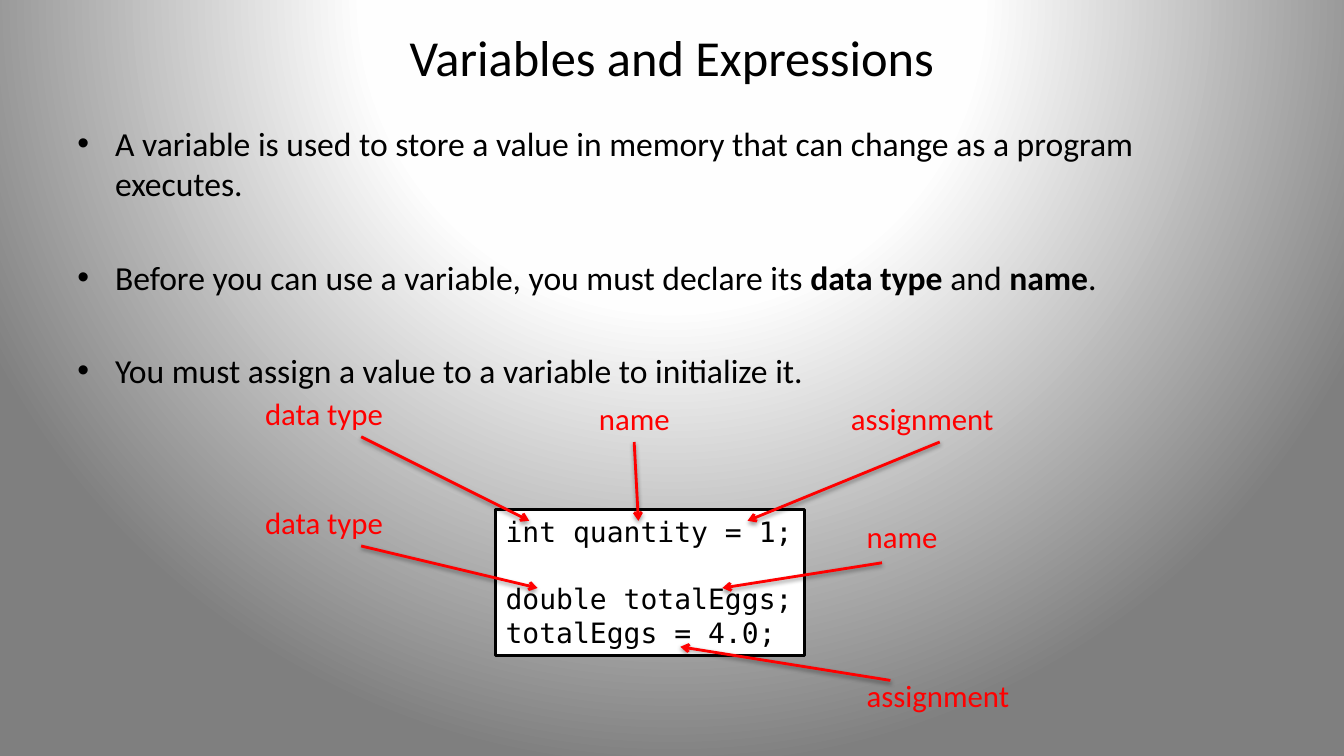
from dataclasses import dataclass

from pptx import Presentation
from pptx.dml.color import RGBColor
from pptx.enum.shapes import MSO_CONNECTOR as Connector, MSO_SHAPE as Shape
from pptx.enum.text import MSO_ANCHOR as Anchor, MSO_AUTO_SIZE as AutoSize, PP_ALIGN as Align
from pptx.oxml import parse_xml
from pptx.oxml.ns import nsdecls, qn
from pptx.util import Pt

PX = 9525  # 96 px to the inch


@dataclass(frozen=True)
class Theme:
    ink: str = "000000"
    paper: str = "FFFFFF"
    callout: str = "FF0000"
    glow: tuple = ((0, "FFFFFF"), (40, "FEFEFE"), (100, "7F7F7F"))
    text_font: str = "Calibri"
    code_font: str = "DejaVu Sans Mono"
    title_size: int = 36
    body_size: int = 24
    label_size: int = 22
    code_size: int = 20
    line_width: int = 2


THEME = Theme()

BULLETS = [
    [("A variable is used to store a value in memory that can change as a program executes.", False)],
    [("Before you can use a variable, you must declare its ", False), ("data type", True),
     (" and ", False), ("name", True), (".", False)],
    [("You must assign a value to a variable to initialize it.", False)],
]
# Code lines with the space before each, in points
CODE = [("int quantity = 1;", 0), ("double totalEggs;", 24), ("totalEggs = 4.0;", 0)]

LABEL_WIDTHS = {"data type": 133, "name": 87, "assignment": 156}
LABEL_HEIGHT = 45
# Word, then label corner, arrow start and arrow tip, all from the diagram's corner
CALLOUTS = [
    ("data type", (0, 0), (101, 45), (261, 125)),
    ("name", (318, 5), (361, 50), (365, 125)),
    ("assignment", (558, 5), (652, 50), (469, 125)),
    ("data type", (0, 104), (101, 149), (269, 189)),
    ("name", (573, 117), (597, 165), (445, 189)),
    ("assignment", (573, 269), (605, 277), (405, 245)),
]


def px(*lengths):
    return [length * PX for length in lengths]


def color(value):
    return RGBColor.from_string(value)


def add_text(para, text, size, font=THEME.text_font, ink=THEME.ink, bold=False):
    span = para.add_run()
    span.text = text
    span.font.name = font
    span.font.size = Pt(size)
    span.font.color.rgb = color(ink)
    span.font.bold = bold


def place(shape, box):
    shape.left, shape.top, shape.width, shape.height = px(*box)


def paint_background(page):
    page.background.fill.gradient()
    flat = page.element.find(".//" + qn("a:gradFill"))
    stops = "".join(f'<a:gs pos="{at * 1000}"><a:srgbClr val="{value}"/></a:gs>'
                    for at, value in THEME.glow)
    flat.getparent().replace(flat, parse_xml(
        f'<a:gradFill {nsdecls("a")} rotWithShape="1"><a:gsLst>{stops}</a:gsLst>'
        '<a:path path="circle"><a:fillToRect l="50000" t="-80000" r="50000" b="180000"/></a:path>'
        '</a:gradFill>'))


def fill_title(page, box):
    title = page.shapes.title
    place(title, box)
    title.text_frame.auto_size = AutoSize.NONE
    title.text_frame.vertical_anchor = Anchor.MIDDLE
    para = title.text_frame.paragraphs[0]
    para.alignment = Align.CENTER
    add_text(para, "Variables and Expressions", THEME.title_size)


def fill_body(page, box):
    body = page.placeholders[1]
    place(body, box)
    frame = body.text_frame
    frame.auto_size = AutoSize.NONE
    for number, spans in enumerate(BULLETS):
        para = frame.add_paragraph() if number else frame.paragraphs[0]
        para.space_before = Pt(38 if number else 0)
        for text, bold in spans:
            add_text(para, text, THEME.body_size, bold=bold)


def add_code(page, box):
    panel = page.shapes.add_shape(Shape.RECTANGLE, *px(*box))
    panel.shadow.inherit = False
    panel.fill.solid()
    panel.fill.fore_color.rgb = color(THEME.paper)
    panel.line.color.rgb = color(THEME.ink)
    panel.line.width = Pt(THEME.line_width)
    frame = panel.text_frame
    frame.word_wrap = False
    frame.vertical_anchor = Anchor.TOP
    for number, (text, gap) in enumerate(CODE):
        para = frame.add_paragraph() if number else frame.paragraphs[0]
        para.alignment = Align.LEFT
        para.space_before = Pt(gap)
        add_text(para, text, THEME.code_size, font=THEME.code_font)


def add_label(page, text, left, top):
    label = page.shapes.add_textbox(*px(left, top, LABEL_WIDTHS[text], LABEL_HEIGHT))
    label.text_frame.word_wrap = False
    add_text(label.text_frame.paragraphs[0], text, THEME.label_size, ink=THEME.callout)


def add_arrow(page, start, tip):
    arrow = page.shapes.add_connector(Connector.STRAIGHT, *px(*start, *tip))
    arrow.line.color.rgb = color(THEME.callout)
    arrow.line.width = Pt(THEME.line_width)
    arrow.line._get_or_add_ln().append(parse_xml(f'<a:tailEnd {nsdecls("a")} type="arrow"/>'))
    # Soft shadow straight below the line
    arrow._element.spPr.append(parse_xml(
        f'<a:effectLst {nsdecls("a")}>'
        '<a:outerShdw blurRad="40000" dist="20000" dir="5400000" rotWithShape="0">'
        f'<a:srgbClr val="{THEME.ink}"><a:alpha val="38000"/></a:srgbClr>'
        '</a:outerShdw></a:effectLst>'))


def add_diagram(page, box):
    left, top, width, height = box
    # Code panel, then the callouts that point into it
    add_code(page, (left + 229, top + 114, 294, 139))
    for text, corner, start, tip in CALLOUTS:
        corner, start, tip = [(left + x, top + y) for x, y in (corner, start, tip)]
        add_label(page, text, *corner)
        add_arrow(page, start, tip)


def main():
    deck = Presentation()
    deck.slide_width, deck.slide_height = px(1280, 720)
    page = deck.slides.add_slide(deck.slide_layouts[1])
    paint_background(page)
    fill_title(page, (64, 8, 1152, 91))
    fill_body(page, (64, 112, 1152, 256))
    add_diagram(page, (243, 371, 729, 314))
    deck.save("out.pptx")


if __name__ == "__main__":
    main()
